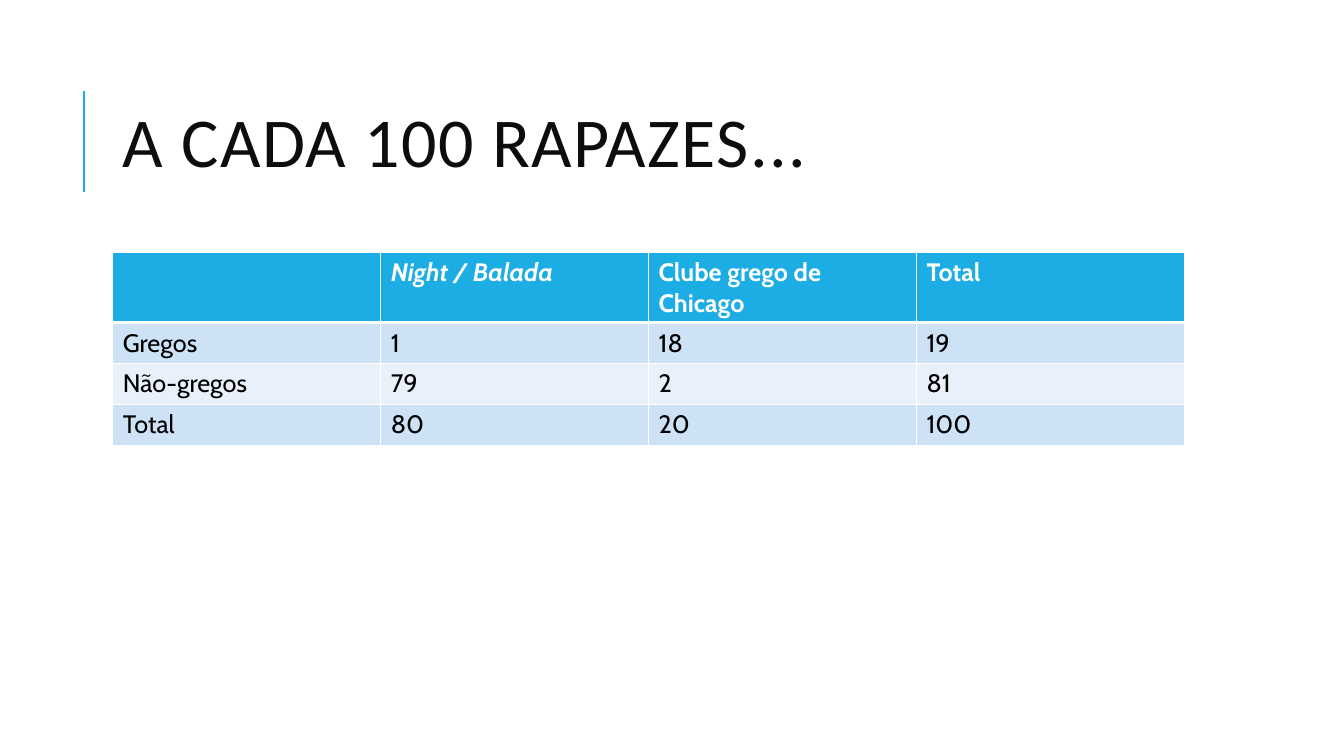
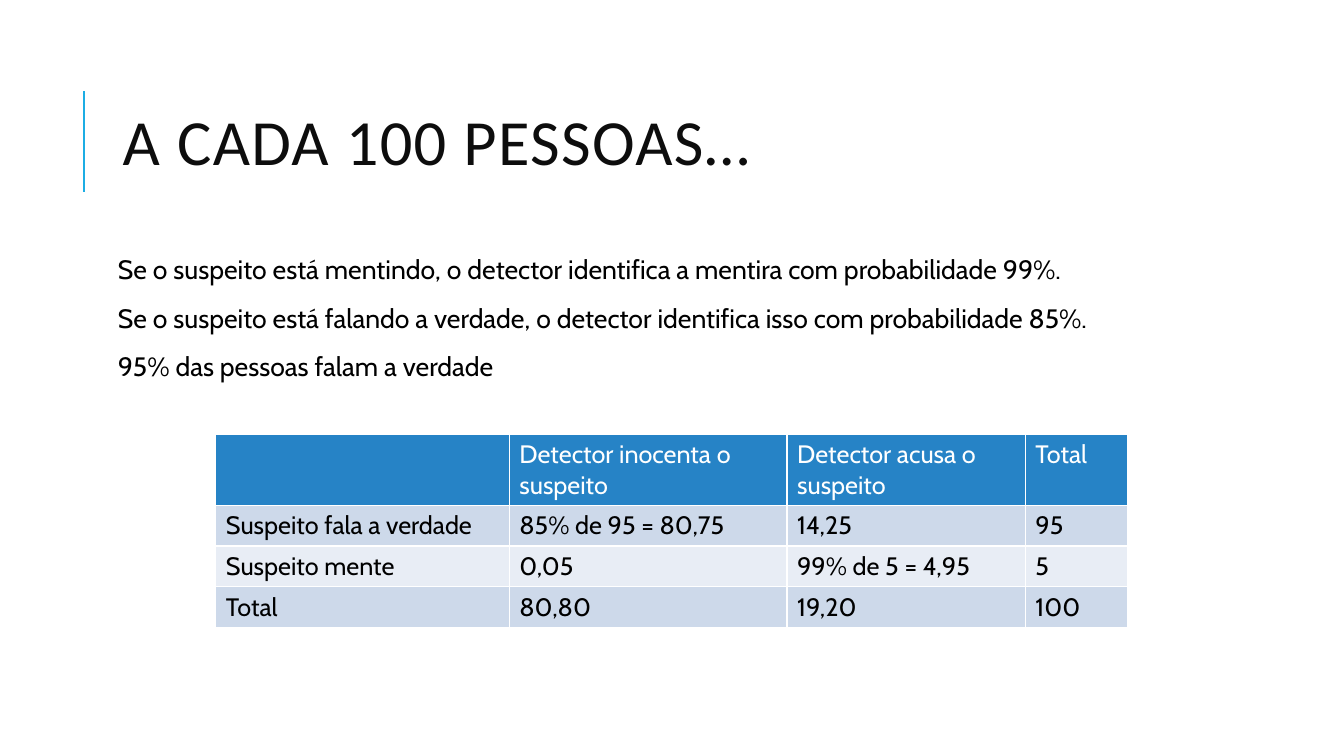
from dataclasses import dataclass
from typing import Any

import pptx
import pptx.dml.color
import pptx.enum.shapes
import pptx.enum.text
import pptx.oxml
import pptx.oxml.ns
import pptx.util

Pt = pptx.util.Pt

WHITE, BLACK, TITLE_INK, ACCENT = "FFFFFF", "000000", "0D0D0D", "1CADE4"
TITLE_FONT, BODY_FONT = "Calibri", "Cabin"
LEFT, CONTENT_TOP = 80.6, 180
HEADER_HEIGHT, ROW_HEIGHT = 50.3, 29.2
TITLE_PARAGRAPH = {"line_spacing": 0.8}
BODY_PARAGRAPH = {"line_spacing": 0.9, "space_before": Pt(12), "space_after": Pt(2)}
TITLE_FRAME = {"word_wrap": True, "vertical_anchor": pptx.enum.text.MSO_ANCHOR.MIDDLE}
BODY_FRAME = {"word_wrap": True} | {
    f"margin_{side}": Pt(3.6) for side in ("left", "top", "right", "bottom")
}


@dataclass(frozen=True)
class TableTheme:
    header: str
    bands: tuple[str, str]
    bold_header: bool
    header_rule: float


@dataclass(frozen=True)
class DataTable:
    left: float
    top: float
    columns: tuple[float, ...]
    rows: tuple[tuple[str, ...], ...]
    theme: TableTheme
    italic_headings: tuple[str, ...] = ()


@dataclass(frozen=True)
class Page:
    title: str
    title_size: float
    title_width: float
    table: DataTable
    statements: tuple[str, ...] = ()


PAGES = (
    Page(
        "A CADA 100 RAPAZES...", 50, 765.4,
        DataTable(
            LEFT, CONTENT_TOP, (191.35,) * 4,
            (
                ("", "Night / Balada", "Clube grego de Chicago", "Total"),
                ("Gregos", "1", "18", "19"),
                ("Não-gregos", "79", "2", "81"),
                ("Total", "80", "20", "100"),
            ),
            TableTheme(ACCENT, ("CDE3F5", "E8F1FA"), True, 3),
            ("Night / Balada",),
        ),
    ),
    Page(
        "A CADA 100 PESSOAS…", 46, 477.4,
        DataTable(
            154.2, 310.4, (209.6, 198.4, 170.2, 73.4),
            (
                ("", "Detector inocenta o suspeito", "Detector acusa o suspeito", "Total"),
                ("Suspeito fala a verdade", "85% de 95 = 80,75", "14,25", "95"),
                ("Suspeito mente", "0,05", "99% de 5 = 4,95", "5"),
                ("Total", "80,80", "19,20", "100"),
            ),
            TableTheme("2683C6", ("CDD9EA", "E8EDF5"), False, 1),
        ),
        (
            "Se o suspeito está mentindo, o detector identifica a mentira com probabilidade 99%.",
            "Se o suspeito está falando a verdade, o detector identifica isso com probabilidade 85%.",
            "95% das pessoas falam a verdade",
        ),
    ),
)


def rgb(color: str) -> pptx.dml.color.RGBColor:
    return pptx.dml.color.RGBColor.from_string(color)


def apply_format(target: Any, values: dict[str, Any]) -> None:
    for attribute, value in values.items():
        setattr(target, attribute, value)


def write(paragraph: Any, text: str, color: str, **font_format: Any) -> Any:
    """Add one run of text and return it."""
    run = paragraph.add_run()
    run.text = text
    apply_format(run.font, font_format)
    run.font.color.rgb = rgb(color)
    return run


def draw_title(slide: Any, page: Page) -> None:
    accent = slide.shapes.add_connector(
        pptx.enum.shapes.MSO_CONNECTOR.STRAIGHT, Pt(60), Pt(136.8), Pt(60), Pt(64.8)
    )
    accent.line.color.rgb = rgb(ACCENT)
    accent.line.width = Pt(1.5)
    accent._element.spPr.append(pptx.oxml.parse_xml(
        f"<a:effectLst {pptx.oxml.ns.nsdecls('a')}/>"
    ))

    frame = slide.shapes.add_textbox(
        Pt(LEFT), Pt(46), Pt(page.title_width), Pt(118)
    ).text_frame
    apply_format(frame, TITLE_FRAME)
    heading = frame.paragraphs[0]
    apply_format(heading, TITLE_PARAGRAPH)
    run = write(heading, page.title, TITLE_INK, name=TITLE_FONT, size=Pt(page.title_size))
    run._r.get_or_add_rPr().set("spc", "100")


def draw_statements(slide: Any, statements: tuple[str, ...]) -> None:
    frame = slide.shapes.add_textbox(
        Pt(LEFT), Pt(CONTENT_TOP), Pt(853.2), Pt(316.8)
    ).text_frame
    apply_format(frame, BODY_FRAME)
    for index, statement in enumerate(statements):
        paragraph = frame.add_paragraph() if index else frame.paragraphs[0]
        apply_format(paragraph, BODY_PARAGRAPH)
        write(paragraph, statement, BLACK, name=BODY_FONT, size=Pt(19))


def set_borders(cell: Any, top: float, bottom: float) -> None:
    """Give the cell white borders, 1 pt wide at its sides."""
    properties = cell._tc.get_or_add_tcPr()
    for side, width in {"L": 1, "R": 1, "T": top, "B": bottom}.items():
        properties.append(pptx.oxml.parse_xml(
            f'<a:ln{side} {pptx.oxml.ns.nsdecls("a")} w="{Pt(width)}">'
            f'<a:solidFill><a:srgbClr val="{WHITE}"/></a:solidFill></a:ln{side}>'
        ))


def draw_table(slide: Any, data: DataTable) -> None:
    theme = data.theme
    heights = [HEADER_HEIGHT] + [ROW_HEIGHT] * (len(data.rows) - 1)
    table = slide.shapes.add_table(
        len(data.rows), len(data.columns),
        Pt(data.left), Pt(data.top), Pt(sum(data.columns)), Pt(sum(heights)),
    ).table
    table.horz_banding = False
    for column, width in zip(table.columns, data.columns):
        column.width = Pt(width)
    for row_index, (row, height) in enumerate(zip(data.rows, heights)):
        table.rows[row_index].height = Pt(height)
        is_header = row_index == 0
        fill = theme.header if is_header else theme.bands[(row_index - 1) % 2]
        top = theme.header_rule if row_index == 1 else 1
        bottom = theme.header_rule if is_header else 1
        for column_index, text in enumerate(row):
            cell = table.cell(row_index, column_index)
            set_borders(cell, top, bottom)
            cell.fill.solid()
            cell.fill.fore_color.rgb = rgb(fill)
            if text:
                write(
                    cell.text_frame.paragraphs[0], text, WHITE if is_header else BLACK,
                    name=BODY_FONT, size=Pt(18),
                    bold=is_header and theme.bold_header,
                    italic=text in data.italic_headings,
                )


def main() -> None:
    deck = pptx.Presentation()
    deck.slide_width, deck.slide_height = Pt(960), Pt(540)
    for page in PAGES:
        slide = deck.slides.add_slide(deck.slide_layouts[6])
        draw_title(slide, page)
        if page.statements:
            draw_statements(slide, page.statements)
        draw_table(slide, page.table)
    deck.save("out.pptx")


if __name__ == "__main__":
    main()
